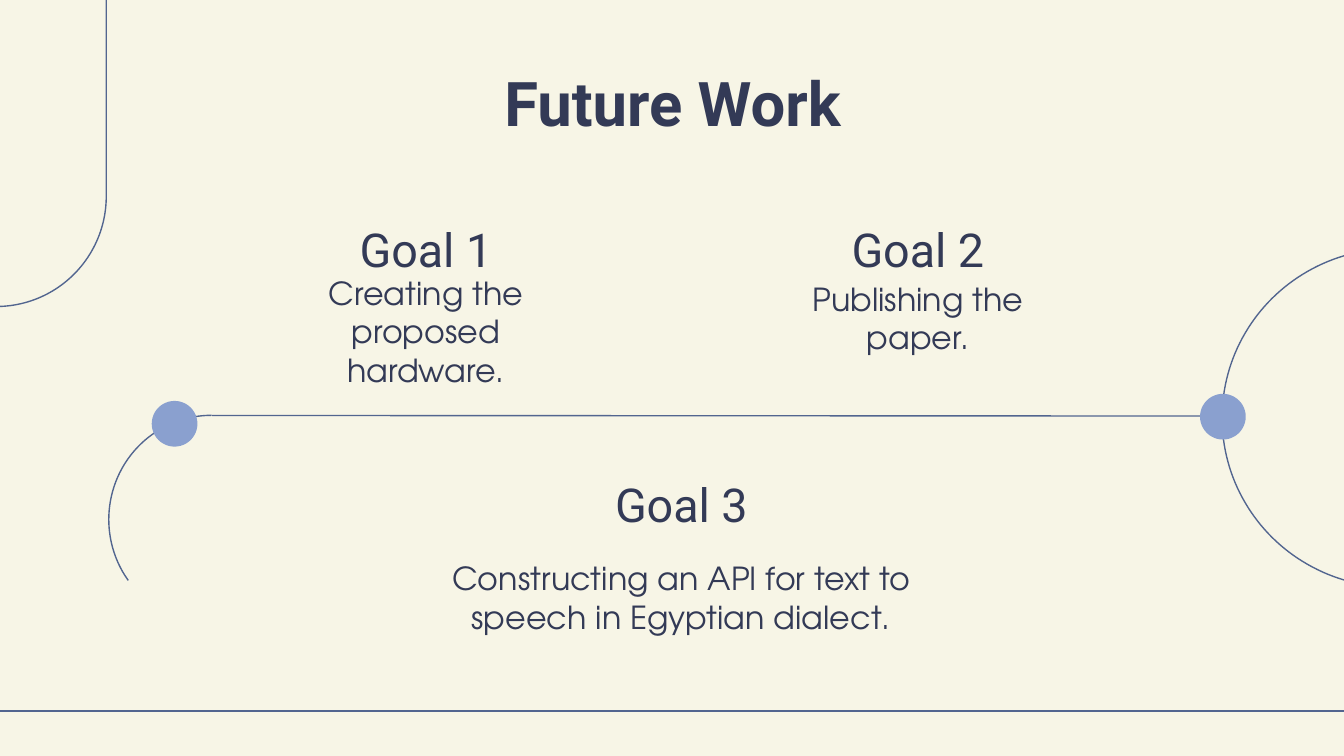
from dataclasses import dataclass

from lxml import etree
from pptx import Presentation
from pptx import util as u
from pptx.dml import color
from pptx.enum import shapes, text
from pptx.oxml import ns

Pt = u.Pt
RGB = color.RGBColor.from_string


@dataclass(frozen=True)
class Theme:
    background: str = "F7F5E6"
    line: str = "52658F"
    dot: str = "8AA0CF"
    ink: str = "333A56"
    heading_font: str = "Roboto"
    body_font: str = "TeX Gyre Adventor"
    title_size: int = 33
    heading_size: int = 25
    body_size: int = 17
    line_width: float = 0.75


THEME = Theme()


def write(shape, words, font_name, size, bold=False):
    frame = shape.text_frame
    frame.word_wrap = True
    frame.auto_size = text.MSO_AUTO_SIZE.NONE
    frame.vertical_anchor = text.MSO_ANCHOR.MIDDLE
    frame.margin_left = frame.margin_right = Pt(7.2)
    frame.margin_top = frame.margin_bottom = Pt(7.2)
    paragraph = frame.paragraphs[0]
    paragraph.text = words
    paragraph.alignment = text.PP_ALIGN.CENTER
    font = paragraph.font
    font.name, font.size, font.bold = font_name, Pt(size), bold
    font.color.rgb = RGB(THEME.ink)


def add_title(slide, box, words):
    title = slide.shapes.title
    title.left, title.top, title.width, title.height = map(Pt, box)
    write(title, words, THEME.heading_font, THEME.title_size, bold=True)


def add_line(slide, start, end):
    line = slide.shapes.add_connector(
        shapes.MSO_CONNECTOR.STRAIGHT, *map(Pt, (*start, *end)))
    line.line.color.rgb = RGB(THEME.line)
    line.line.width = Pt(THEME.line_width)
    etree.SubElement(line._element.spPr, ns.qn("a:effectLst"))


def add_outline(slide, kind, box, adjustments, rotation=0):
    shape = slide.shapes.add_shape(kind, *map(Pt, box))
    shape.shadow.inherit = False
    shape.rotation = rotation
    for index, value in enumerate(adjustments):
        shape.adjustments[index] = value
    shape.fill.background()
    shape.line.color.rgb = RGB(THEME.line)
    shape.line.width = Pt(THEME.line_width)


def add_arc(slide, box, start_degrees, end_degrees, rotation=0):
    angles = [degrees * 0.6 for degrees in (start_degrees, end_degrees)]
    add_outline(slide, shapes.MSO_SHAPE.ARC, box, angles, rotation)


def add_dot(slide, left, top, diameter=24.5):
    dot = slide.shapes.add_shape(
        shapes.MSO_SHAPE.OVAL, *map(Pt, (left, top, diameter, diameter)))
    dot.shadow.inherit = False
    dot.fill.solid()
    dot.fill.fore_color.rgb = RGB(THEME.dot)
    dot.line.fill.background()


def add_frame(slide, box):
    left, top, width, height = box
    baseline = top + height - 24
    add_line(slide, (left, baseline), (left + width, baseline))
    add_arc(slide, (left + width - 65.3, top + 133.2, 183.6, 181.4), 89.63, 270)
    add_outline(slide, shapes.MSO_SHAPE.ROUND_2_SAME_RECTANGLE,
                (left - 61.2, top - 12.2, 118.1, 176.4), (0.5, 0), 180)


def add_path(slide, box):
    left, top, width, height = box
    add_line(slide, (left + 56, top + 8), (left + width - 5, top + 8.3))
    add_arc(slide, (left, top + 8.6, 111.6, 110.2), 233.87, 0, 270)
    add_dot(slide, left + 23.7, top + 0.2)
    add_dot(slide, left + width - 24.5, top - 3.6)


def add_goal(slide, box, heading, body, heading_width, body_offset):
    left, top, width, height = box
    heading_left = left + (width - heading_width) / 2
    parts = (
        ((heading_left, top, heading_width, 41.8),
         heading, THEME.heading_font, THEME.heading_size),
        ((left, top + body_offset, width, height - body_offset),
         body, THEME.body_font, THEME.body_size),
    )
    for part_box, words, font_name, size in parts:
        textbox = slide.shapes.add_textbox(*map(Pt, part_box))
        write(textbox, words, font_name, size)


def main():
    presentation = Presentation()
    presentation.slide_width, presentation.slide_height = Pt(720), Pt(405)
    slide = presentation.slides.add_slide(presentation.slide_layouts[5])
    slide.background.fill.solid()
    slide.background.fill.fore_color.rgb = RGB(THEME.background)

    add_frame(slide, (0, 0, 720, 405))
    add_title(slide, (56.9, 33.1, 607, 42.5), "Future Work")
    goals = (
        ((143.3, 112.3, 169.9, 84.3), "Creating the proposed hardware.", 169.9, 46.1),
        ((406.8, 112.3, 169.9, 74.2), "Publishing the paper.", 169.9, 41.8),
        ((213.8, 249.1, 302.4, 90),
         "Constructing an API for text to speech in Egyptian dialect.", 159.8, 51.8),
    )
    for number, (box, body, heading_width, body_offset) in enumerate(goals, 1):
        add_goal(slide, box, f"Goal {number}", body, heading_width, body_offset)
    add_path(slide, (57.6, 214.6, 609.8, 118.8))
    presentation.save("out.pptx")


if __name__ == "__main__":
    main()
